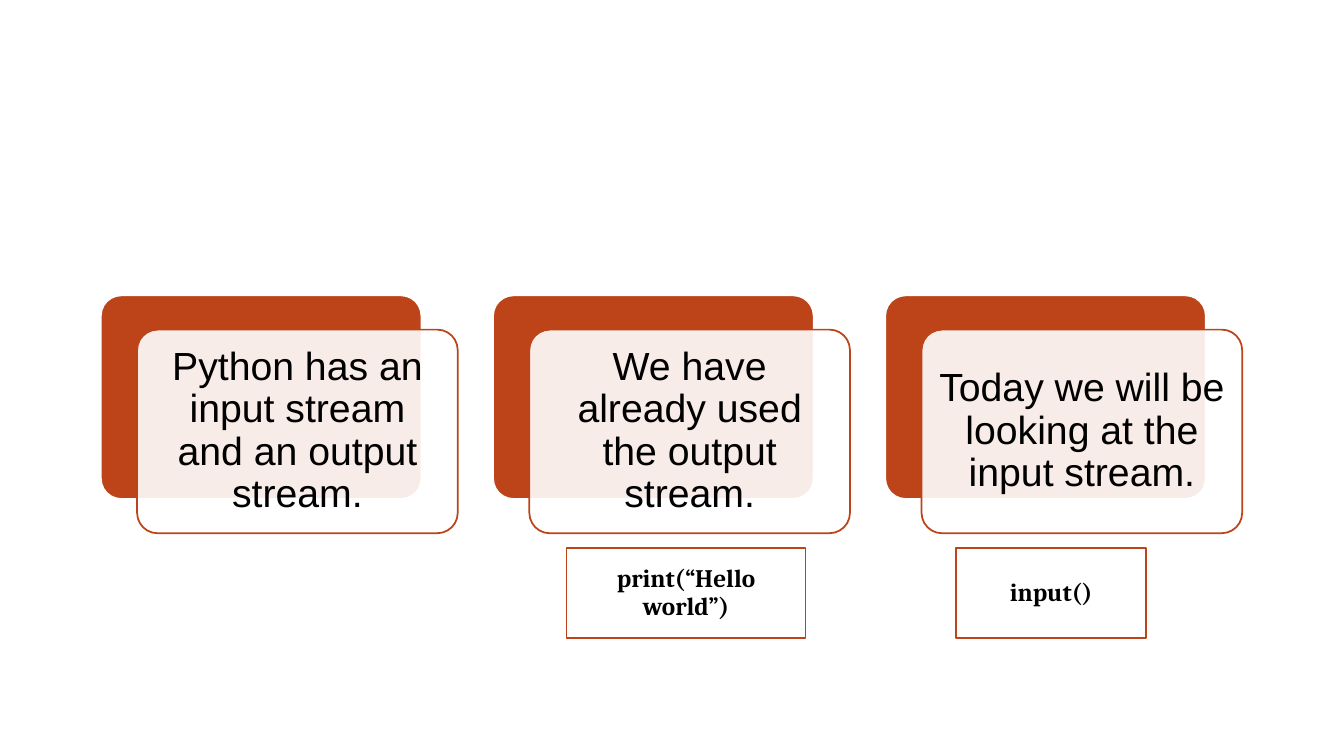
from dataclasses import dataclass

import pptx
import pptx.dml.color
import pptx.enum.shapes
import pptx.enum.text
import pptx.oxml.ns
import pptx.util
from lxml import etree

Inches = pptx.util.Inches
Pt = pptx.util.Pt
RGBColor = pptx.dml.color.RGBColor
ShapeKind = pptx.enum.shapes.MSO_SHAPE


@dataclass(frozen=True)
class Theme:
    rust: RGBColor = RGBColor(0xBC, 0x44, 0x18)
    white: RGBColor = RGBColor(0xFF, 0xFF, 0xFF)
    black: RGBColor = RGBColor(0, 0, 0)
    body_font: str = "Arial"
    body_size: int = 28
    code_font: str = "Cambria"
    code_size: int = 18
    line_width: float = 1.25
    veil_opacity: int = 90


THEME = Theme()

STATEMENTS = [
    "Python has an input stream and an output stream.",
    "We have already used the output stream.",
    "Today we will be looking at the input stream.",
]
# Code text, left edge and width in inches
CODE_BOXES = [
    ("input()", 9.48, 1.89),
    ("print(“Hello world”)", 5.62, 2.37),
]
CARD_LEFT, CARD_TOP, CARD_PITCH = 1, 2.93, 3.89
CARD_WIDTH, CARD_HEIGHT = 3.18, 2.02
FRONT_SHIFT_X, FRONT_SHIFT_Y = 0.36, 0.34
CODE_TOP, CODE_HEIGHT = 5.44, 0.89


def add_panel(page, kind, left, top, width, height, fill, line):
    """Add a flat outlined shape."""
    panel = page.shapes.add_shape(
        kind, Inches(left), Inches(top), Inches(width), Inches(height))
    panel.shadow.inherit = False
    panel.fill.solid()
    panel.fill.fore_color.rgb = fill
    panel.line.color.rgb = line
    panel.line.width = Pt(THEME.line_width)
    if kind == ShapeKind.ROUNDED_RECTANGLE:
        panel.adjustments[0] = 0.1
    return panel


def make_translucent(panel):
    """Let the shape behind show faintly through the fill."""
    color = panel.fill._xPr.find(".//" + pptx.oxml.ns.qn("a:srgbClr"))
    alpha = etree.SubElement(color, pptx.oxml.ns.qn("a:alpha"))
    alpha.set("val", str(THEME.veil_opacity * 1000))


def write_text(panel, text, font, size, bold=False):
    """Write one centred paragraph in the panel."""
    frame = panel.text_frame
    frame.word_wrap = True
    frame.vertical_anchor = pptx.enum.text.MSO_ANCHOR.MIDDLE
    frame.margin_left = frame.margin_right = Inches(0.11)
    frame.margin_top = frame.margin_bottom = Inches(0.12)
    frame.text = text
    para = frame.paragraphs[0]
    para.alignment = pptx.enum.text.PP_ALIGN.CENTER
    para.line_spacing = 0.9
    span = para.runs[0]
    span.font.name = font
    span.font.size = Pt(size)
    span.font.bold = bold
    span.font.color.rgb = THEME.black


def add_card(page, left, text):
    """Add a solid back card and a translucent text card shifted over it."""
    kind = ShapeKind.ROUNDED_RECTANGLE
    add_panel(page, kind, left, CARD_TOP, CARD_WIDTH, CARD_HEIGHT,
              THEME.rust, THEME.white)
    front = add_panel(page, kind, left + FRONT_SHIFT_X, CARD_TOP + FRONT_SHIFT_Y,
                      CARD_WIDTH, CARD_HEIGHT, THEME.white, THEME.rust)
    make_translucent(front)
    write_text(front, text, THEME.body_font, THEME.body_size)


def add_code_box(page, text, left, width):
    """Add a framed code example."""
    box = add_panel(page, ShapeKind.RECTANGLE, left, CODE_TOP, width,
                    CODE_HEIGHT, THEME.white, THEME.rust)
    make_translucent(box)
    write_text(box, text, THEME.code_font, THEME.code_size, bold=True)


def main():
    deck = pptx.Presentation()
    deck.slide_width = Inches(13.33)
    deck.slide_height = Inches(7.5)
    page = deck.slides.add_slide(deck.slide_layouts[6])

    # Row of statement cards
    for index, text in enumerate(STATEMENTS):
        add_card(page, CARD_LEFT + index * CARD_PITCH, text)

    # Code examples under the cards
    for text, left, width in CODE_BOXES:
        add_code_box(page, text, left, width)

    deck.save("out.pptx")


if __name__ == "__main__":
    main()
